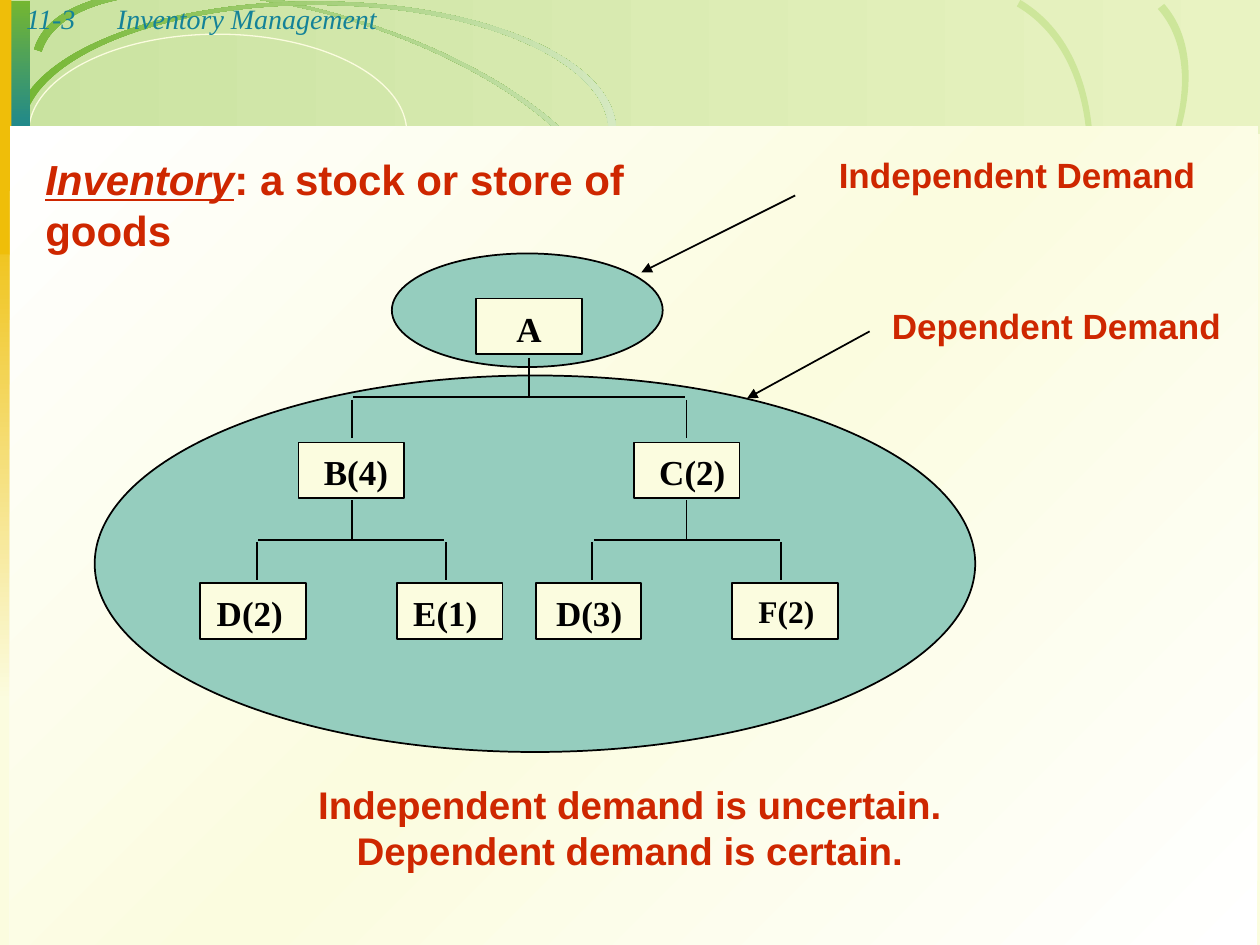
from copy import deepcopy

from lxml import etree
from pptx import Presentation
from pptx.dml.color import RGBColor
from pptx.enum.shapes import MSO_CONNECTOR, MSO_SHAPE
from pptx.enum.text import MSO_ANCHOR, MSO_AUTO_SIZE, PP_ALIGN
from pptx.oxml.ns import qn
from pptx.util import Cm, Pt

RECT, OVAL = MSO_SHAPE.RECTANGLE, MSO_SHAPE.OVAL
STRAIGHT = MSO_CONNECTOR.STRAIGHT
LEFT, CENTER = PP_ALIGN.LEFT, PP_ALIGN.CENTER
TOP, NO_FIT = MSO_ANCHOR.TOP, MSO_AUTO_SIZE.NONE

COLORS = {
    "cream": "FBFCDF", "white": "FFFFFF", "black": "000000",
    "band start": "CAE3A1", "band end": "E9F3C2",
    "green": "74B632", "pale green": "D5E9C1", "lime": "CDE69A",
    "teal": "148298", "yellow": "EFBE09", "sea": "95CDBE", "red": "CE2700",
}
RGB = {name: RGBColor.from_string(value) for name, value in COLORS.items()}


def paint(shape, fills, angle=0, line=None, width=1):
    """Fill with nothing, one colour or an even gradient, and set the outline."""
    shape.shadow.inherit = False
    if not fills:
        shape.fill.background()
    elif len(fills) == 1:
        shape.fill.solid()
        shape.fill.fore_color.rgb = RGB[fills[0]]
    else:
        shape.fill.gradient()
        shape.fill.gradient_angle = (360 - angle) % 360
        stop_list = shape._element.spPr.find(qn("a:gradFill")).find(qn("a:gsLst"))
        for _ in fills[2:]:
            stop_list.append(deepcopy(stop_list[-1]))
        for i, (stop, fill) in enumerate(zip(shape.fill.gradient_stops, fills)):
            stop.color.rgb = RGB[fill]
            stop.position = i / (len(fills) - 1)
    if line:
        shape.line.color.rgb = RGB[line]
        shape.line.width = Pt(width)
    else:
        shape.line.fill.background()


def write(frame, text, size, color, font="Arial", bold=True, align=LEFT, wrap=False):
    """Put formatted text at the top of a frame; a list gives separate runs."""
    pieces = text if isinstance(text, list) else [text]
    frame.text = pieces[0]
    frame.word_wrap = wrap
    frame.auto_size = NO_FIT
    frame.vertical_anchor = TOP
    paragraph = frame.paragraphs[0]
    paragraph.alignment = align
    for piece in pieces[1:]:
        paragraph.add_run().text = piece
    for run in paragraph.runs:
        run.font.name = font
        run.font.size = Pt(size)
        run.font.bold = bold
        run.font.color.rgb = RGB[color]


prs = Presentation()
prs.slide_width, prs.slide_height = Cm(25.4), Cm(19.05)
slide = prs.slides.add_slide(prs.slide_layouts[5])
shapes = slide.shapes
slide.background.fill.solid()
slide.background.fill.fore_color.rgb = RGB["cream"]

# Banner with curved ribbons: outer edge, then inner edge, as Bezier points
ribbons = [
    ([(0.84, 1.04), (1.24, -0.25), (4.09, -0.51), (7.21, 0.46),
      (10.31, 1.45), (12.5, 3.28), (12.09, 4.57)],
     [(12.24, 4.62), (12.67, 3.3), (10.41, 1.4), (7.21, 0.41),
      (4.04, -0.61), (1.09, -0.36), (0.69, 0.99)], ["green", "pale green"], 342),
    ([(14.55, 8.05), (15.72, 9.35), (18.64, 8.66), (21.08, 6.5),
      (23.5, 4.32), (24.51, 1.5), (23.34, 0.18)],
     [(23.47, 0.08), (24.66, 1.42), (23.62, 4.34), (21.13, 6.58),
      (18.64, 8.79), (15.65, 9.5), (14.43, 8.15)], ["lime"], 0),
    ([(14.48, 10.26), (16.28, 11.33), (19.08, 9.93), (20.75, 7.14),
      (22.4, 4.34), (22.3, 1.19), (20.5, 0.13)],
     [(20.57, 0), (22.43, 1.09), (22.53, 4.32), (20.83, 7.19),
      (19.13, 10.06), (16.23, 11.51), (14.4, 10.41)], ["lime"], 0),
    ([(0.48, 2.64), (0.48, 1.24), (3.12, 0.1), (6.38, 0.1),
      (9.63, 0.1), (12.27, 1.24), (12.27, 2.64)],
     [(12.42, 2.64), (12.42, 1.19), (9.73, 0.03), (6.38, 0.03),
      (3.02, 0.03), (0.3, 1.19), (0.3, 2.64)], ["green", "pale green"], 0),
]
band = shapes.add_shape(RECT, Cm(0.03), 0, Cm(25.37), Cm(2.7))
paint(band, ["band start", "band end"])
for outer, inner, fills, angle in ribbons:
    outline = [(Cm(x), Cm(y)) for x, y in outer + inner]
    builder = shapes.build_freeform(*outline[0])
    builder.add_line_segments(outline[1:], close=True)
    ribbon = builder.convert_to_shape()
    paint(ribbon, fills, angle)
    # Each edge is two curves of three points; segment 6 joins the edges
    segments = list(ribbon._element.iter(qn("a:lnTo")))
    for first in (0, 3, 7, 10):
        curve = etree.Element(qn("a:cubicBezTo"))
        segments[first].addprevious(curve)
        for segment in segments[first:first + 3]:
            curve.append(segment[0])
            segment.getparent().remove(segment)
halo = shapes.add_shape(OVAL, Cm(0.58), Cm(0.69), Cm(7.62), Cm(3.96))
paint(halo, [], line="cream", width=0.75)

# Side bars and page
for x, y, w, h, fills, angle in [
    (0, 3.94, 0.56, 10.19, ["yellow", "cream"], 90),
    (0.03, 0.03, 0.58, 2.9, ["green", "teal"], 90),
    (0, 0, 0.23, 5.13, ["yellow"], 0),
    (0.2, 2.55, 25.15, 16.5, ["white", "cream", "white"], 45),
]:
    paint(shapes.add_shape(RECT, Cm(x), Cm(y), Cm(w), Cm(h)), fills, angle)

# Running header
for x, width, text in [(0.28, 2.5, "11-3"), (2.11, 21.59, "Inventory Management")]:
    header = shapes.add_textbox(Cm(x), Cm(-0.1), Cm(width), Cm(0.94)).text_frame
    write(header, text, 16, "teal", "Times New Roman", bold=False)
    header.paragraphs[0].runs[0].font.italic = True

# Demand groups
for x, y, w, h in [(7.9, 5.11, 5.46, 2.29), (1.91, 7.57, 17.75, 7.59)]:
    paint(shapes.add_shape(OVAL, Cm(x), Cm(y), Cm(w), Cm(h)), ["sea"], line="black")

# Product tree: box, label indent and size
for x, y, label, indent, size in [
    (9.6, 6.02, "A", 0.81, 20),
    (6.02, 8.92, "B(4)", 0.51, 20), (12.78, 8.92, "C(2)", 0.51, 20),
    (4.04, 11.76, "D(2)", 0.33, 20), (8, 11.76, "E(1)", 0.33, 20),
    (10.8, 11.76, "D(3)", 0.41, 20), (14.76, 11.76, "F(2)", 0.53, 18),
]:
    part = shapes.add_shape(RECT, Cm(x), Cm(y), Cm(2.13), Cm(1.12))
    paint(part, ["cream"], line="black")
    write(part.text_frame, label, size, "black", "Times New Roman", wrap=True)
    part.text_frame.margin_left, part.text_frame.margin_top = Cm(indent), Cm(0.17)
    part.text_frame.margin_right = part.text_frame.margin_bottom = 0

# Branches (stem, bar, two drops) and pointers, whose arrowhead is at the start
strokes = []
for stem, top, left, right in [
    (10.67, 7.21, 7.09, 13.84), (7.09, 10.08, 5.18, 8.99), (13.84, 10.08, 11.94, 15.75),
]:
    strokes += [(stem, top, stem, top + 0.78, False),
                (left + 0.03, top + 0.8, right - 0.03, top + 0.8, False)]
    strokes += [(x, top + 0.85, x, top + 1.61, False) for x in (left, right)]
strokes += [(12.93, 5.49, 16.03, 3.94, True), (15.06, 8.03, 17.53, 6.68, True)]
for x1, y1, x2, y2, pointed in strokes:
    stroke = shapes.add_connector(STRAIGHT, Cm(x1), Cm(y1), Cm(x2), Cm(y2))
    stroke.line.color.rgb = RGB["black"]
    stroke.line.width = Pt(1)
    if pointed:
        etree.SubElement(stroke.line._get_or_add_ln(), qn("a:headEnd"), type="triangle")
    etree.SubElement(stroke._element.spPr, qn("a:effectLst"))

# Demand labels and conclusion
for x, y, w, h, text, size, align in [
    (16.66, 2.97, 7.7, 1.09, "Independent Demand", 20, LEFT),
    (17.73, 6.02, 7.14, 1.09, "Dependent Demand", 20, LEFT),
    (0, 15.62, 25.4, 2.11,
     "Independent demand is uncertain.\vDependent demand is certain.", 22, CENTER),
]:
    note = shapes.add_textbox(Cm(x), Cm(y), Cm(w), Cm(h)).text_frame
    # The vertical tab is a line break inside the paragraph
    write(note, text, size, "red", align=align, wrap=align == CENTER)

# Title, with the defined term underlined
title = shapes.title
title.left, title.top, title.width, title.height = Cm(0.66), Cm(2.97), Cm(14.94), Cm(1.27)
write(title.text_frame, ["Inventory", ": a stock or store of goods"], 24, "red")
term = title.text_frame.paragraphs[0].runs[0]
term.font.italic = term.font.underline = True
shapes._spTree.append(title._element)

prs.save("out.pptx")
